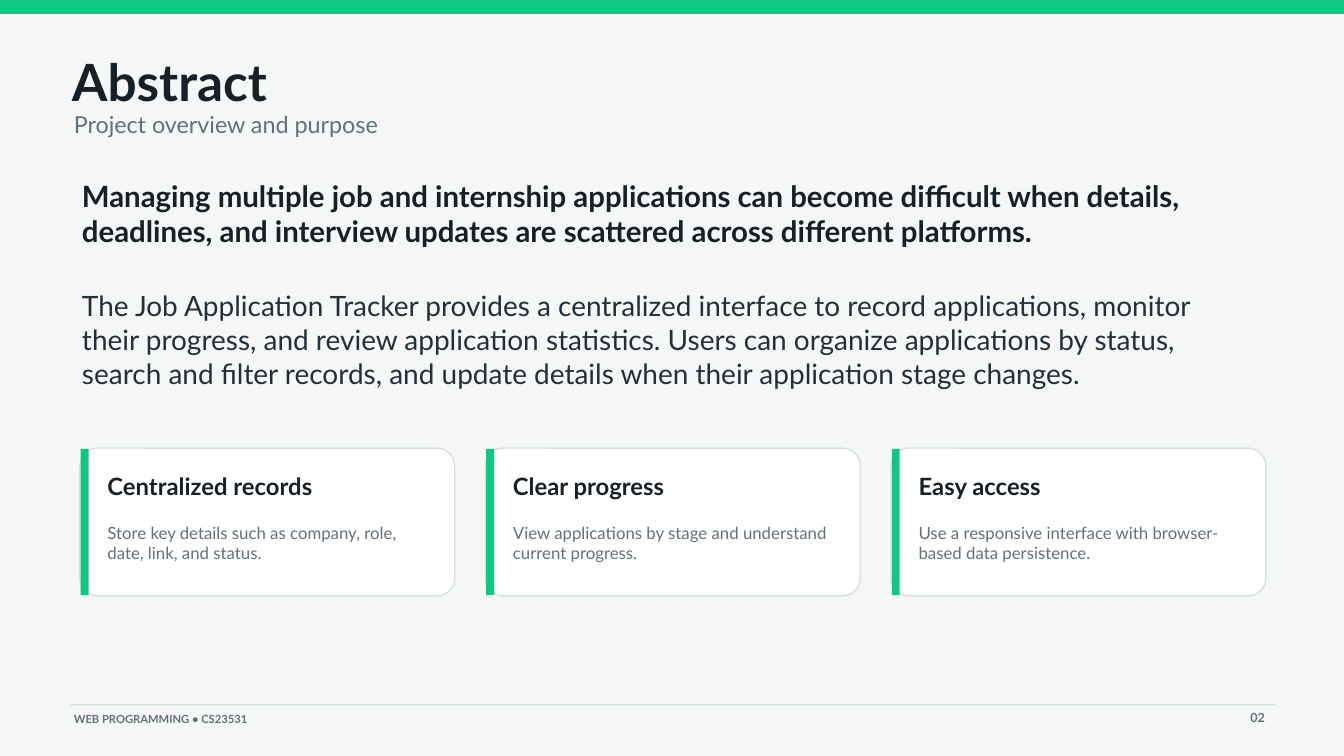
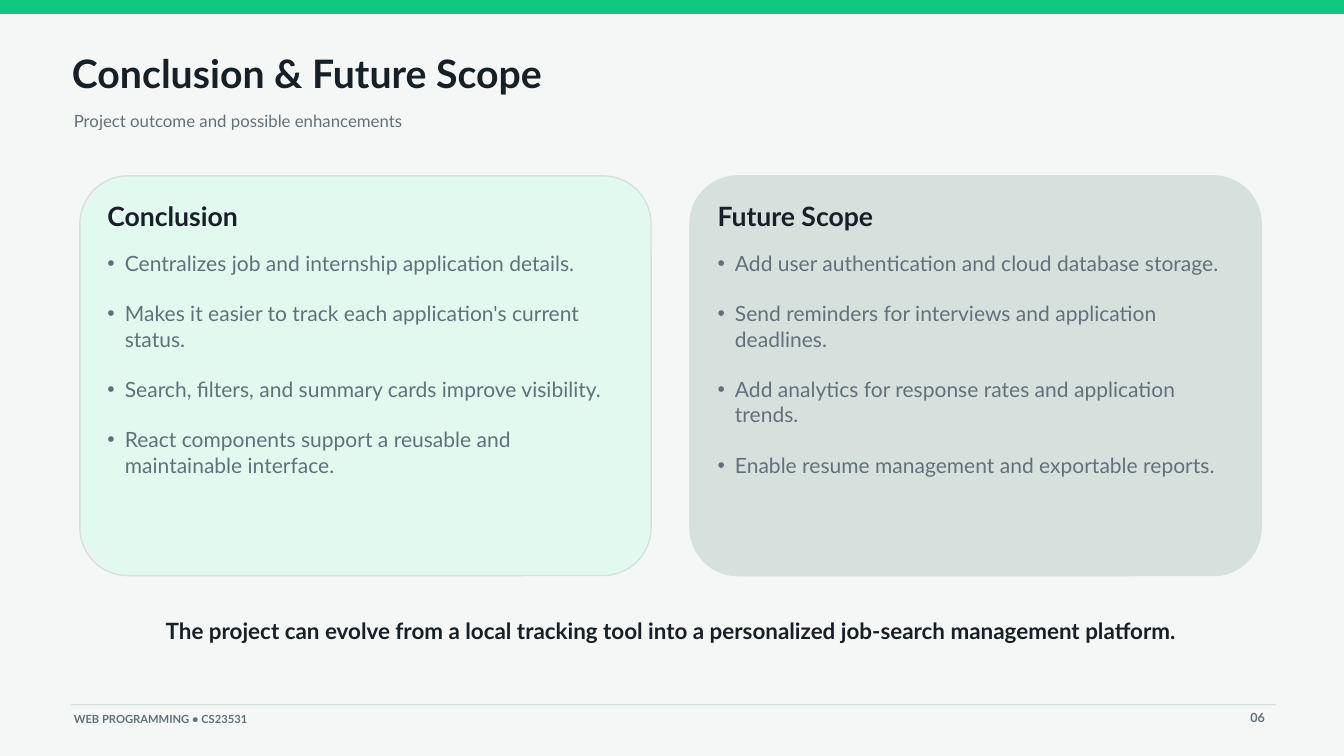
from collections import namedtuple

from pptx import Presentation
from pptx import util as u
from pptx.dml.color import RGBColor
from pptx.enum import shapes, text

FONT = "Lato"
PAPER = RGBColor(0xF4, 0xF7, 0xF6)
WHITE = RGBColor(0xFF, 0xFF, 0xFF)
GREEN = RGBColor(0x10, 0xC8, 0x82)
MINT = RGBColor(0xE2, 0xF9, 0xF0)
MIST = RGBColor(0xD6, 0xE1, 0xDE)
INK = RGBColor(0x17, 0x20, 0x27)
SLATE = RGBColor(0x23, 0x30, 0x38)
GREY = RGBColor(0x62, 0x71, 0x79)

SLIDE_WIDTH, SLIDE_HEIGHT = 50.8, 28.58
TITLE_ONLY, COMPARISON = 5, 4
LEADING = 1.2
CORNER = 0.12
BULLET_INDENT = u.Cm(0.66)

Box = namedtuple("Box", "left top width height")
Style = namedtuple("Style", "size color bold align", defaults=(False, text.PP_ALIGN.LEFT))

BENEFITS = [
    ("Centralized records", "Store key details such as company, role, date, link, and status."),
    ("Clear progress", "View applications by stage and understand current progress."),
    ("Easy access", "Use a responsive interface with browser-based data persistence."),
]
OUTCOMES = [
    ("Conclusion", MINT, [
        "Centralizes job and internship application details.",
        "Makes it easier to track each application's current status.",
        "Search, filters, and summary cards improve visibility.",
        "React components support a reusable and maintainable interface.",
    ]),
    ("Future Scope", MIST, [
        "Add user authentication and cloud database storage.",
        "Send reminders for interviews and application deadlines.",
        "Add analytics for response rates and application trends.",
        "Enable resume management and exportable reports.",
    ]),
]


def lengths(box):
    """Convert a box in centimetres to slide lengths."""
    return [u.Cm(side) for side in box]


def fill_text(holder, lines, style, bulleted=False):
    """Write styled lines into a text box or placeholder without margins."""
    frame = holder.text_frame
    frame.text = "\n".join(lines)
    frame.word_wrap = True
    frame.auto_size = text.MSO_AUTO_SIZE.NONE
    frame.vertical_anchor = text.MSO_ANCHOR.TOP
    frame.margin_left = frame.margin_top = frame.margin_right = frame.margin_bottom = 0
    leading = u.Pt(style.size * LEADING)
    for number, paragraph in enumerate(frame.paragraphs):
        if bulleted:
            properties = paragraph._p.get_or_add_pPr()
            properties.set("marL", str(BULLET_INDENT))
            properties.set("indent", str(-BULLET_INDENT))
        paragraph.alignment = style.align
        paragraph.line_spacing = leading
        paragraph.space_before = leading if bulleted and number else u.Pt(0)
        paragraph.font.name = FONT
        paragraph.font.size = u.Pt(style.size)
        paragraph.font.bold = style.bold
        paragraph.font.color.rgb = style.color


def add_text(slide, box, line, style):
    """Add a text box with one styled paragraph."""
    fill_text(slide.shapes.add_textbox(*lengths(box)), [line], style)


def fill_placeholder(slide, index, box, lines, style, bulleted=False):
    """Move a template placeholder into the box and write its lines."""
    holder = slide.placeholders[index]
    holder.left, holder.top, holder.width, holder.height = lengths(box)
    fill_text(holder, lines, style, bulleted)


def add_bar(slide, box, color):
    """Add a plain bar without outline."""
    bar = slide.shapes.add_shape(shapes.MSO_SHAPE.RECTANGLE, *lengths(box))
    bar.shadow.inherit = False
    bar.fill.solid()
    bar.fill.fore_color.rgb = color
    bar.line.fill.background()


def add_card(slide, box, color):
    """Add a rounded card behind the text and return its heading and body boxes."""
    card = slide.shapes.add_shape(shapes.MSO_SHAPE.ROUNDED_RECTANGLE, *lengths(box))
    card.adjustments[0] = CORNER
    card.shadow.inherit = False
    card.fill.solid()
    card.fill.fore_color.rgb = color
    card.line.color.rgb = MIST
    card.line.width = u.Pt(1.5)
    slide.shapes._spTree.insert(2, card._element)
    left, width = box.left + 1.04, box.width - 1.87
    return (Box(left, box.top + 0.91, width, 1.35),
            Box(left, box.top + 2.82, width, box.height - 3.51))


def add_page(deck, layout, number, title, title_size, subtitle, subtitle_size):
    """Add a slide with the shared band, title, subtitle and footer."""
    slide = deck.slides.add_slide(deck.slide_layouts[layout])
    add_bar(slide, Box(0, 0, SLIDE_WIDTH, 0.53), GREEN)
    fill_placeholder(slide, 0, Box(2.72, 1.88, 44.88, 2.2), [title],
                     Style(title_size, INK, True))
    add_text(slide, Box(2.79, 4.18, 44.12, 1.1), subtitle, Style(subtitle_size, GREY))
    add_bar(slide, Box(2.67, 26.62, 45.57, 0.05), MIST)
    add_text(slide, Box(2.79, 26.92, 24.69, 0.66), "WEB PROGRAMMING • CS23531",
             Style(12, GREY, True))
    add_text(slide, Box(45.8, 26.82, 2.01, 0.76), number,
             Style(13.5, GREY, True, text.PP_ALIGN.RIGHT))
    return slide


def add_benefit(slide, box, heading, detail):
    """Add a white card with a green edge, a heading and a detail line."""
    heading_box, detail_box = add_card(slide, box, WHITE)
    add_bar(slide, Box(box.left + 0.03, box.top + 0.03, 0.3, box.height - 0.06), GREEN)
    add_text(slide, heading_box, heading, Style(25.5, INK, True))
    add_text(slide, detail_box, detail, Style(18, GREY))


def build_abstract(deck):
    """Build the abstract with its summary and benefit cards."""
    slide = add_page(deck, TITLE_ONLY, "02", "Abstract", 55,
                     "Project overview and purpose", 25)
    add_text(slide, Box(3.1, 6.73, 44.12, 3.15),
             "Managing multiple job and internship applications can become difficult when "
             "details, deadlines, and interview updates are scattered across different "
             "platforms.", Style(31.5, INK, True))
    add_text(slide, Box(3.1, 10.92, 43.36, 3.81),
             "The Job Application Tracker provides a centralized interface to record "
             "applications, monitor their progress, and review application statistics. "
             "Users can organize applications by status, search and filter records, and "
             "update details when their application stage changes.", Style(30, SLATE))
    for column, (heading, detail) in enumerate(BENEFITS):
        add_benefit(slide, Box(3.02 + column * 15.33, 16.94, 14.17, 5.59), heading, detail)


def build_conclusion(deck):
    """Build the conclusion and future scope panels with the closing line."""
    slide = add_page(deck, COMPARISON, "06", "Conclusion & Future Scope", 42,
                     "Project outcome and possible enhancements", 18)
    for column, (heading, color, points) in enumerate(OUTCOMES):
        panel = Box(3.02 + column * 23.06, 6.65, 21.59, 15.11)
        heading_box, points_box = add_card(slide, panel, color)
        index = 1 + 2 * column
        fill_placeholder(slide, index, heading_box, [heading], Style(28.5, INK, True))
        fill_placeholder(slide, index + 1, points_box, points, Style(22.5, GREY), True)
    add_text(slide, Box(3.86, 23.32, 42.98, 1.63),
             "The project can evolve from a local tracking tool into a personalized "
             "job-search management platform.",
             Style(24, INK, True, text.PP_ALIGN.CENTER))


def main():
    """Build and save the presentation."""
    deck = Presentation()
    deck.slide_width, deck.slide_height = u.Cm(SLIDE_WIDTH), u.Cm(SLIDE_HEIGHT)
    paper = deck.slide_master.background.fill
    paper.solid()
    paper.fore_color.rgb = PAPER
    build_abstract(deck)
    build_conclusion(deck)
    deck.save("out.pptx")


if __name__ == "__main__":
    main()
